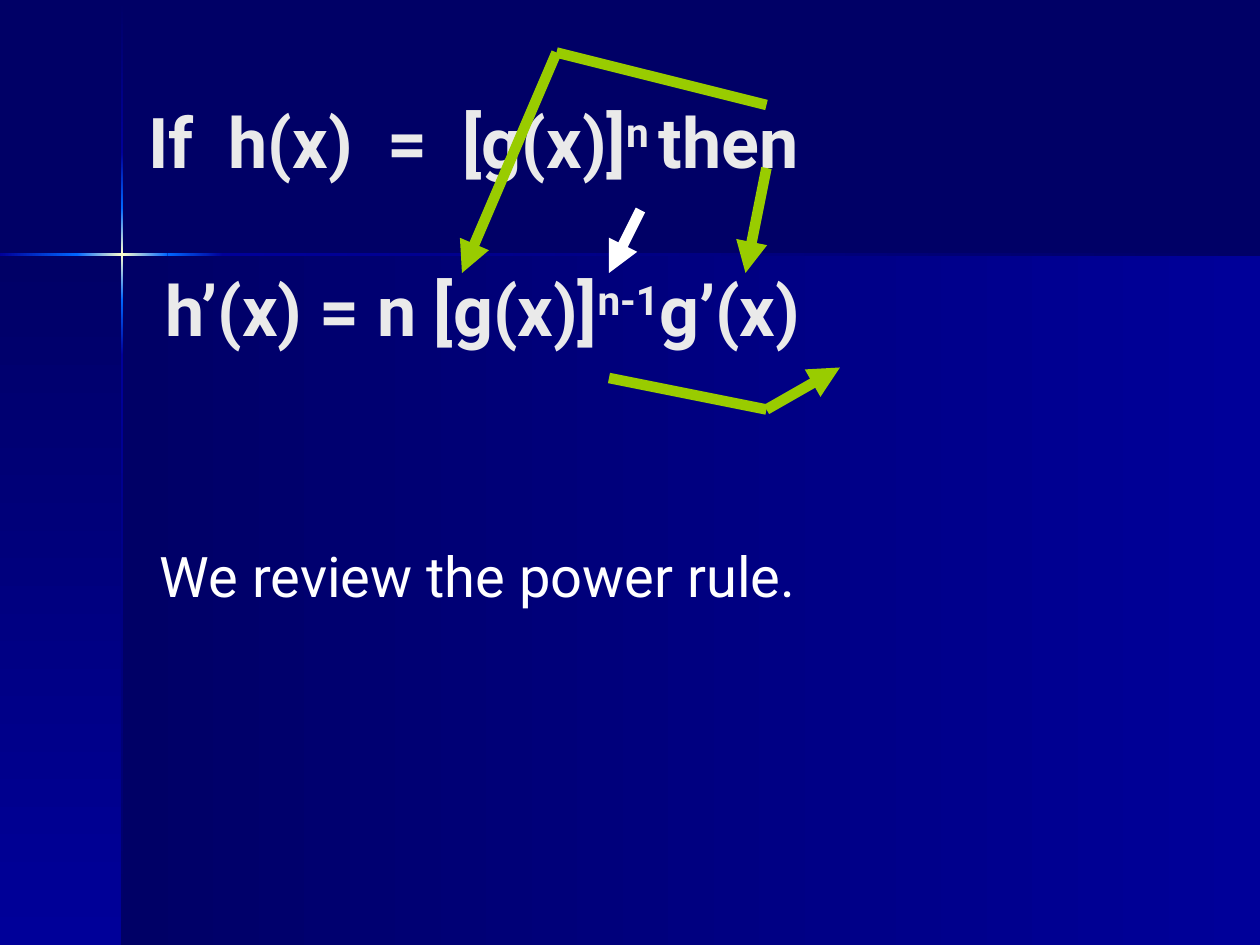
"""Build the power rule slide: a glowing cross backdrop, two formulas and the arrows linking them."""
from copy import deepcopy

from lxml import etree
from pptx import Presentation
from pptx.dml.color import RGBColor
from pptx.enum.shapes import MSO_CONNECTOR, MSO_SHAPE
from pptx.enum.text import MSO_ANCHOR
from pptx.oxml.ns import qn
from pptx.util import Inches, Pt

RECTANGLE = MSO_SHAPE.RECTANGLE
STRAIGHT = MSO_CONNECTOR.STRAIGHT
BOTTOM, TOP = MSO_ANCHOR.BOTTOM, MSO_ANCHOR.TOP
COLORS = {name: RGBColor.from_string(value) for name, value in {
    "navy": "000066", "blue": "000099", "azure": "0066FF", "glow": "FFFFCC",
    "title": "EAEAEA", "white": "FFFFFF", "green": "99CC00",
}.items()}
FONT = "Roboto"
WIDTH, HEIGHT = 10, 7.5
CROSS_X, CROSS_Y, BEAM = 0.97, 2.02, 0.02
CELL = Inches(1 / 12)

presentation = Presentation()
presentation.slide_width, presentation.slide_height = Inches(WIDTH), Inches(HEIGHT)
slide = presentation.slides.add_slide(presentation.slide_layouts[6])
slide.background.fill.solid()
slide.background.fill.fore_color.rgb = COLORS["navy"]


def add_gradient(left, top, right, bottom, names, vertical):
    shape = slide.shapes.add_shape(
        RECTANGLE, Inches(left), Inches(top), Inches(right - left), Inches(bottom - top))
    shape.shadow.inherit = False
    shape.line.fill.background()
    shape.fill.gradient()
    shape.fill.gradient_angle = 270 if vertical else 0
    first_stop = next(shape._element.iter(qn("a:gs")))
    for _ in names[2:]:
        first_stop.addnext(deepcopy(first_stop))
    for index, (stop, name) in enumerate(zip(shape.fill.gradient_stops, names)):
        stop.position = index / (len(names) - 1)
        stop.color.rgb = COLORS[name]


def add_text(left, top, width, height, anchor, size, color, bold, lines):
    box = slide.shapes.add_textbox(Inches(left), Inches(top), Inches(width), Inches(height))
    frame = box.text_frame
    frame.word_wrap = True
    frame.vertical_anchor = anchor
    for index, runs in enumerate(lines):
        paragraph = frame.add_paragraph() if index else frame.paragraphs[0]
        if index:
            paragraph.space_before = Pt(size * 1.2)
        paragraph.font.name, paragraph.font.size = FONT, Pt(size)
        paragraph.font.bold = bold
        paragraph.font.color.rgb = COLORS[color]
        for text, raised in runs:
            run = paragraph.add_run()
            run.text = text
            if raised:
                run.font._element.set("baseline", "30000")


add_gradient(CROSS_X, CROSS_Y, WIDTH, HEIGHT, ["navy", "blue"], False)
add_gradient(0, CROSS_Y, CROSS_X, HEIGHT, ["navy", "blue"], True)

beam_colors = [["blue", "azure"], ["azure", "glow", "azure"], ["azure", "blue"], ["blue", "navy"]]
for start, end, names in zip([0, 0.61, 1.33, 1.77], [0.61, 1.33, 1.77, WIDTH], beam_colors):
    add_gradient(start, CROSS_Y - BEAM / 2, end, CROSS_Y + BEAM / 2, names, False)
for start, end, names in zip([0, 1.21, 1.65, 2.38, 2.82], [1.21, 1.65, 2.38, 2.82, HEIGHT],
                             [["navy", "blue"]] + beam_colors):
    add_gradient(CROSS_X - BEAM / 2, start, CROSS_X + BEAM / 2, end, names, True)

add_text(1.08, 0, 7.75, 2.83, BOTTOM, 40, "title", True, [
    [("If  h(x)  =  [g(x)]", False), ("n ", True), ("then", False)],
    [(" h’(x) = n [g(x)]", False), ("n-1", True), ("g’(x)", False)],
])
add_text(1.17, 4.25, 7, 1.92, TOP, 32, "white", False, [[("We review the power rule.", False)]])

for start, end, color, has_arrow in [
    ((53, 5), (44, 26), "green", True),
    ((53, 5), (73, 10), "green", False),
    ((73, 16), (71, 26), "green", True),
    ((61, 20), (58, 26), "white", True),
    ((58, 36), (73, 39), "green", False),
    ((73, 39), (80, 35), "green", True),
]:
    connector = slide.shapes.add_connector(
        STRAIGHT, *(CELL * position for position in start + end))
    connector.line.color.rgb = COLORS[color]
    connector.line.width = Pt(6)
    if has_arrow:
        etree.SubElement(connector.line._get_or_add_ln(), qn("a:tailEnd"), type="triangle")
    etree.SubElement(connector._element.spPr, qn("a:effectLst"))

presentation.save("out.pptx")
